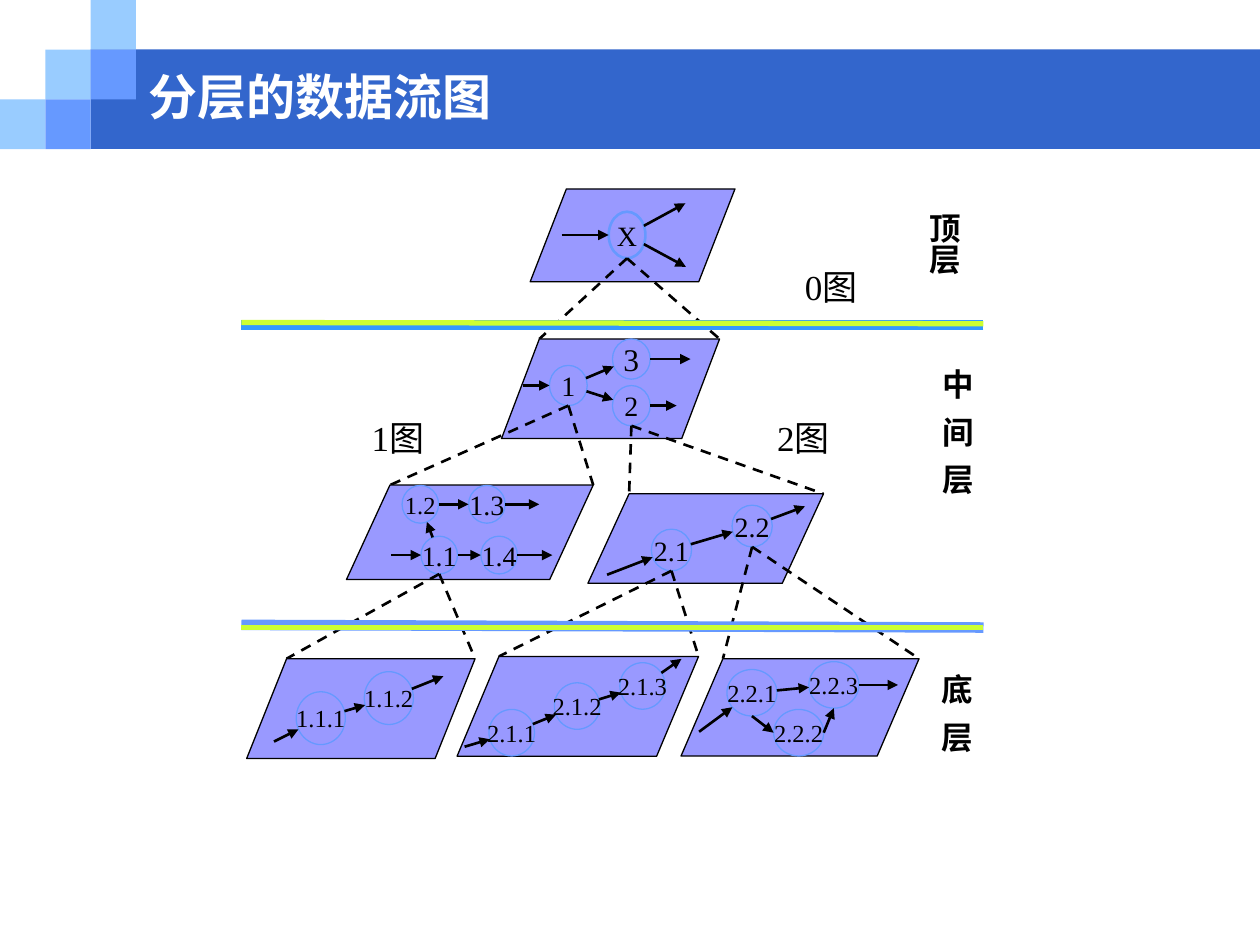
"""Build a slide showing levelled data flow diagrams."""
from math import hypot

from lxml.etree import SubElement
from pptx import Presentation
from pptx.dml.color import RGBColor
from pptx.enum.dml import MSO_LINE
from pptx.enum.shapes import MSO_CONNECTOR, MSO_SHAPE
from pptx.enum.text import MSO_ANCHOR, PP_ALIGN
from pptx.oxml.ns import qn
from pptx.util import Pt

COLORS = {
    "bar": "3366CC", "pale": "99CCFF", "medium": "6699FF", "plane": "9999FF",
    "sky": "3399FF", "lime": "CCFF33", "black": "000000", "white": "FFFFFF",
}
LATIN, CJK = "Times New Roman", "Noto Sans CJK SC"

BANNER = (51.8, 28.2, 668.2, 56.9)
TILE_WIDTH, TILE_HEIGHT = 25.9, 28.4
TILES = {"pale": [(0, 2), (1, 1), (2, 0)], "medium": [(2, 1), (1, 2)]}

PANELS = [
    {"plane": (303, 108, 117, 53), "slant": 0.39, "node_size": (21, 26.6),
     "nodes": {"X": (358.3, 134.3)},
     "inputs": [("X", -26.8, 0)],
     "outputs": [("X", 23.7, -12.9), ("X", 24, 13)]},
    {"plane": (286.6, 193.7, 124.6, 56.9), "slant": 0.38, "node_size": (21.6, 23),
     "nodes": {"1": (324.8, 220.3), "3": (360.8, 205.2), "2": (360.8, 231.8)},
     "inputs": [("1", -15, 0)], "flows": [("1", "3"), ("1", "2")],
     "outputs": [("3", 23, 0), ("2", 15, 0)], "parents": ["X"]},
    {"plane": (198, 277.2, 141, 54), "slant": 0.46, "node_size": (20.9, 21.6),
     "nodes": {"1.1": (251, 317.2), "1.2": (240.2, 288.2),
               "1.4": (285.2, 317.2), "1.3": (278.2, 288.2)},
     "inputs": [("1.1", -17, 0)],
     "flows": [("1.1", "1.4"), ("1.1", "1.2"), ("1.2", "1.3")],
     "outputs": [("1.3", 19.5, 0), ("1.4", 20, 0)], "parents": ["1"]},
    {"plane": (336, 282.2, 134.6, 51.1), "slant": 0.46, "node_size": (23, 23.8),
     "nodes": {"2.1": (383.7, 314.3), "2.2": (429.8, 300.6)},
     "inputs": [("2.1", -26, 10)], "flows": [("2.1", "2.2")],
     "outputs": [("2.2", 19.4, -7.2)], "parents": ["2"]},
    {"plane": (141, 376.4, 130.5, 57), "slant": 0.4, "node_size": (28.1, 30.2),
     "nodes": {"1.1.1": (183.3, 410.4), "1.1.2": (222.2, 398.9)},
     "inputs": [("1.1.1", -14, 7)], "flows": [("1.1.1", "1.1.2")],
     "outputs": [("1.1.2", 18, -7.2)], "parents": ["1.1"]},
    {"plane": (261.2, 375.1, 138, 57), "slant": 0.42, "node_size": (26, 26.6),
     "nodes": {"2.1.3": (367.2, 392), "2.1.2": (329.8, 403.5), "2.1.1": (292.4, 418.7)},
     "inputs": [("2.1.1", -14.4, 4.3)],
     "flows": [("2.1.1", "2.1.2"), ("2.1.2", "2.1.3")],
     "outputs": [("2.1.3", 11.5, -8)], "parents": ["2.1"]},
    {"plane": (389.2, 376.4, 136, 55.6), "slant": 0.43, "node_size": (28.6, 26.6),
     "nodes": {"2.2.2": (456.4, 418.7), "2.2.3": (476.5, 391.4), "2.2.1": (429.7, 395.9)},
     "inputs": [("2.2.1", -19, 14)],
     "flows": [("2.2.1", "2.2.3"), ("2.2.1", "2.2.2", "bottom", "left"),
               ("2.2.2", "2.2.3", "right", "bottom")],
     "outputs": [("2.2.3", 22.3, 0)], "parents": ["2.2"]},
]
NODE_SIZES = {"3": 18, "1.2": 14}
SIDES = {"left": (-1, 0), "right": (1, 0), "bottom": (0, 1)}

LEVELS = [
    ("顶层", (524.2, 119.3, 41.8, 50.4), {"line_spacing": 0.83}),
    ("中间层", (525.6, 203.8, 36, 123.1), {"vertical": True}),
    ("底层", (524.9, 378, 36, 90), {"vertical": True}),
]
DIAGRAM_LABELS = [("0图", 452.9, 148.3), ("1图", 205.2, 234.7), ("2图", 437, 234.7)]
DIVIDER_LEFT, DIVIDER_RIGHT = 138, 562
DIVIDERS = [(185.8, 185.8, "sky", 6), (357.1, 358.6, "medium", 6),
            (184.3, 185, "lime", 3), (358.6, 358.6, "lime", 3)]


def rgb(name):
    return RGBColor.from_string(COLORS[name])


def write(shape, text, size=18, color="black", bold=False, font=LATIN, align=PP_ALIGN.LEFT,
          anchor=MSO_ANCHOR.TOP, wrap=True, vertical=False, line_spacing=None):
    frame = shape.text_frame
    frame.word_wrap = wrap
    frame.vertical_anchor = anchor
    frame.margin_left = frame.margin_right = Pt(3.6 if vertical else 7.2)
    frame.margin_top = frame.margin_bottom = Pt(7.2 if vertical else 3.6)
    paragraph = frame.paragraphs[0]
    paragraph.alignment = align
    paragraph.line_spacing = line_spacing
    run = paragraph.add_run()
    run.text = text
    run.font.size = Pt(size)
    run.font.bold = bold
    run.font.name = font
    run.font.color.rgb = rgb(color)
    properties = run.font._element
    SubElement(properties, qn("a:ea")).set("typeface", CJK)
    if vertical:
        frame._txBody.bodyPr.set("vert", "eaVert")
        properties.set("spc", "900")


def add_shape(slide, kind, box, fill, line=None, weight=0.75):
    shape = slide.shapes.add_shape(kind, *map(Pt, box))
    shape.shadow.inherit = False
    shape.fill.solid()
    shape.fill.fore_color.rgb = rgb(fill)
    if line:
        shape.line.color.rgb = rgb(line)
        shape.line.width = Pt(weight)
    else:
        shape.line.fill.background()
    return shape


def add_line(slide, start, end, color="black", weight=1.5, dashed=False, arrow=False):
    connector = slide.shapes.add_connector(MSO_CONNECTOR.STRAIGHT, *map(Pt, (*start, *end)))
    connector.line.color.rgb = rgb(color)
    connector.line.width = Pt(weight)
    if dashed:
        connector.line.dash_style = MSO_LINE.DASH
    if arrow:
        SubElement(connector.line._get_or_add_ln(), qn("a:tailEnd")).set("type", "triangle")
    SubElement(connector._element.spPr, qn("a:effectLst"))


def add_text(slide, text, box, **style):
    write(slide.shapes.add_textbox(*map(Pt, box)), text, **style)


def rim_point(panel, name, across, down):
    x, y = panel["nodes"][name]
    width, height = panel["node_size"]
    scale = 1 / hypot(across * 2 / width, down * 2 / height)
    return x + across * scale, y + down * scale


def add_arrows(slide, panel):
    for name, across, down in panel["inputs"]:
        x, y = rim_point(panel, name, across, down)
        add_line(slide, (x + across, y + down), (x, y), arrow=True)
    for name, across, down in panel["outputs"]:
        x, y = rim_point(panel, name, across, down)
        add_line(slide, (x, y), (x + across, y + down), arrow=True)
    for source, target, *sides in panel.get("flows", []):
        if sides:
            leave, enter = (SIDES[side] for side in sides)
        else:
            (x1, y1), (x2, y2) = panel["nodes"][source], panel["nodes"][target]
            leave, enter = (x2 - x1, y2 - y1), (x1 - x2, y1 - y2)
        add_line(slide, rim_point(panel, source, *leave),
                 rim_point(panel, target, *enter), arrow=True)


def add_panel(slide, panel):
    plane = add_shape(slide, MSO_SHAPE.PARALLELOGRAM, panel["plane"], "plane", "black")
    plane.adjustments[0] = panel["slant"]
    width, height = panel["node_size"]
    for text, (x, y) in panel["nodes"].items():
        node = add_shape(slide, MSO_SHAPE.OVAL, (x - width / 2, y - height / 2, width, height),
                         "plane", "medium", 1.5 if text == "X" else 0.75)
        size = NODE_SIZES.get(text, 14 if len(text) > 3 else 16)
        write(node, text, size=size, align=PP_ALIGN.CENTER,
              anchor=MSO_ANCHOR.MIDDLE, wrap=False)
    add_arrows(slide, panel)


def add_expansion(slide, panel):
    left, top, width, height = panel["plane"]
    for name in panel.get("parents", []):
        parent = next(other for other in PANELS if name in other["nodes"])
        start = rim_point(parent, name, *SIDES["bottom"])
        for corner in (left + panel["slant"] * height, left + width):
            add_line(slide, start, (corner, top), dashed=True)


def main():
    presentation = Presentation()
    presentation.slide_width, presentation.slide_height = Pt(720), Pt(540)
    slide = presentation.slides.add_slide(presentation.slide_layouts[6])
    add_shape(slide, MSO_SHAPE.RECTANGLE, BANNER, "bar")
    for color, cells in TILES.items():
        for column, row in cells:
            add_shape(slide, MSO_SHAPE.RECTANGLE, (column * TILE_WIDTH, row * TILE_HEIGHT,
                                                   TILE_WIDTH, TILE_HEIGHT), color)
    for panel in PANELS:
        add_expansion(slide, panel)
        add_panel(slide, panel)
    for text, box, style in LEVELS:
        add_text(slide, text, box, bold=True, font=CJK, **style)
    for text, left, top in DIAGRAM_LABELS:
        add_text(slide, text, (left, top, 54, 31.7), size=20)
    for left_y, right_y, color, weight in DIVIDERS:
        add_line(slide, (DIVIDER_RIGHT, right_y), (DIVIDER_LEFT, left_y), color, weight)
    add_text(slide, "分层的数据流图", (77.8, 36, 581.8, 38.2), size=28, color="white",
             bold=True, anchor=MSO_ANCHOR.MIDDLE)
    presentation.save("out.pptx")


if __name__ == "__main__":
    main()
